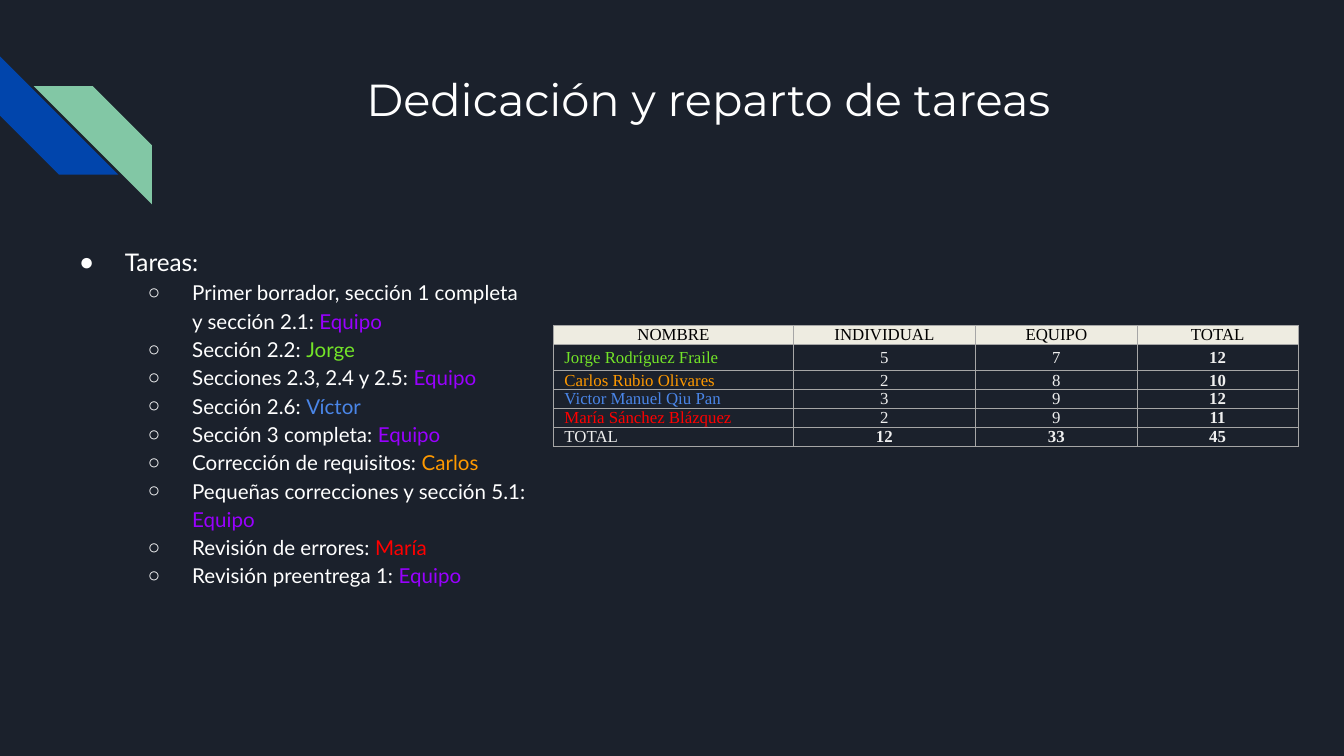
from lxml.etree import SubElement
from pptx import Presentation
from pptx.dml.color import RGBColor
from pptx.enum.shapes import MSO_SHAPE
from pptx.enum.text import MSO_ANCHOR, MSO_AUTO_SIZE, PP_ALIGN
from pptx.oxml.ns import qn
from pptx.util import Inches, Pt

COLORS = {
    "background": "1B212C", "blue": "0145AC", "mint": "82C7A5",
    "white": "FFFFFF", "black": "000000", "header": "EEECE1",
    "figures": "EFEFEF", "border": "A6A6A6", "Equipo": "9900FF",
    "Jorge": "73E428", "Carlos": "FF9900", "Víctor": "4A86E8",
    "María": "FF0000",
}

TASKS = [
    ("Primer borrador, sección 1 completa y sección 2.1: ", "Equipo"),
    ("Sección 2.2: ", "Jorge"),
    ("Secciones 2.3, 2.4 y 2.5: ", "Equipo"),
    ("Sección 2.6: ", "Víctor"),
    ("Sección 3 completa: ", "Equipo"),
    ("Corrección de requisitos: ", "Carlos"),
    ("Pequeñas correcciones y sección 5.1: ", "Equipo"),
    ("Revisión de errores: ", "María"),
    ("Revisión preentrega 1: ", "Equipo"),
]

HOURS = [
    ("NOMBRE", "INDIVIDUAL", "EQUIPO", "TOTAL"),
    ("Jorge Rodríguez Fraile", "5", "7", "12"),
    ("Carlos Rubio Olivares", "2", "8", "10"),
    ("Victor Manuel Qiu Pan", "3", "9", "12"),
    ("María Sánchez Blázquez", "2", "9", "11"),
    ("TOTAL", "12", "33", "45"),
]
NAME_COLORS = ["black", "Jorge", "Carlos", "Víctor", "María", "figures"]


def rgb(name):
    return RGBColor.from_string(COLORS[name])


class SlideBuilder:
    title_font = "Montserrat"
    body_font = "Lato"
    table_font = "Times New Roman"

    def __init__(self, slide):
        self.slide = slide
        slide.background.fill.solid()
        slide.background.fill.fore_color.rgb = rgb("background")

    def style(self, paragraph, font, size, color, bold=False):
        paragraph.font.name = font
        paragraph.font.size = Pt(size)
        paragraph.font.bold = bold
        paragraph.font.color.rgb = rgb(color)

    def place(self, placeholder, left, top, width, height):
        placeholder.left, placeholder.top = Inches(left), Inches(top)
        placeholder.width, placeholder.height = Inches(width), Inches(height)
        frame = placeholder.text_frame
        frame.margin_left = frame.margin_right = Inches(0.1)
        frame.margin_top = frame.margin_bottom = Inches(0.1)
        frame.vertical_anchor = MSO_ANCHOR.TOP
        frame.word_wrap = True
        frame.auto_size = MSO_AUTO_SIZE.NONE
        return frame

    def stripe(self, left, top, size, color, rotation=0, mirrored=False):
        stripe = self.slide.shapes.add_shape(
            MSO_SHAPE.DIAGONAL_STRIPE, Inches(left), Inches(top), Inches(size), Inches(size))
        stripe.adjustments[0] = 0.5
        stripe.rotation = rotation
        stripe.shadow.inherit = False
        stripe.fill.solid()
        stripe.fill.fore_color.rgb = rgb(color)
        stripe.line.fill.background()
        if mirrored:
            stripe._element.spPr.find(qn("a:xfrm")).set("flipH", "1")

    def title(self, text, *box):
        frame = self.place(self.slide.shapes.title, *box)
        frame.text = text
        heading = frame.paragraphs[0]
        heading.alignment = PP_ALIGN.CENTER
        self.style(heading, self.title_font, 24, "white")

    def bullet(self, paragraph, symbol, margin, hanging, size):
        paragraph.line_spacing = 1.15
        paragraph.space_before = paragraph.space_after = Pt(0)
        properties = paragraph._p.get_or_add_pPr()
        properties.set("marL", str(Inches(margin)))
        properties.set("indent", str(-Inches(hanging)))
        bullet_color = SubElement(properties, qn("a:buClr"))
        SubElement(bullet_color, qn("a:srgbClr"), val=COLORS["white"])
        SubElement(properties, qn("a:buChar"), char=symbol)
        self.style(paragraph, self.body_font, size, "white")

    def task_list(self, heading, tasks, *box):
        frame = self.place(self.slide.placeholders[1], *box)
        frame.text = heading
        self.bullet(frame.paragraphs[0], "●", 0.5, 0.34, 13)
        for task, owner in tasks:
            item = frame.add_paragraph()
            item.level = 1
            self.bullet(item, "○", 1, 0.33, 11)
            item.add_run().text = task
            assignee = item.add_run()
            assignee.text = owner
            assignee.font.color.rgb = rgb(owner)

    def border(self, cell):
        properties = cell._tc.get_or_add_tcPr()
        for side in ("lnL", "lnR", "lnT", "lnB"):
            line = SubElement(properties, qn(f"a:{side}"), w=str(Pt(0.5)))
            fill = SubElement(line, qn("a:solidFill"))
            SubElement(fill, qn("a:srgbClr"), val=COLORS["border"])

    def hours_table(self, rows, left, top, widths, heights):
        table = self.slide.shapes.add_table(
            len(rows), len(widths), Inches(left), Inches(top),
            Inches(sum(widths)), Inches(sum(heights))).table
        table.first_row = table.horz_banding = False
        for column, width in zip(table.columns, widths):
            column.width = Inches(width)
        for row, height in zip(table.rows, heights):
            row.height = Inches(height)
        last_row, last_column = len(rows) - 1, len(widths) - 1
        for r, values in enumerate(rows):
            for c, value in enumerate(values):
                is_header, is_name = r == 0, c == 0
                is_total = not is_header and not is_name and (r == last_row or c == last_column)
                cell = table.cell(r, c)
                cell.text = value
                cell.vertical_anchor = MSO_ANCHOR.MIDDLE
                cell.margin_left = cell.margin_right = Inches(0.08)
                cell.margin_top = cell.margin_bottom = 0
                self.border(cell)
                if is_header:
                    cell.fill.solid()
                    cell.fill.fore_color.rgb = rgb("header")
                else:
                    cell.fill.background()
                entry = cell.text_frame.paragraphs[0]
                entry.alignment = PP_ALIGN.LEFT if is_name and not is_header else PP_ALIGN.CENTER
                color = NAME_COLORS[r] if is_name or is_header else "figures"
                self.style(entry, self.table_font, 9, color, is_total)


def main():
    deck = Presentation()
    deck.slide_width = Inches(10)
    deck.slide_height = deck.slide_width * 9 // 16
    builder = SlideBuilder(deck.slides.add_slide(deck.slide_layouts[1]))
    builder.stripe(0, 0.42, 0.88, "blue", rotation=270)
    builder.stripe(0.25, 0.64, 0.88, "mint", mirrored=True)
    builder.title("Dedicación y reparto de tareas", 1.42, 0.43, 7.7, 1)
    builder.task_list("Tareas:", TASKS, 0.33, 1.71, 3.72, 3.18)
    builder.hours_table(HOURS, 4.12, 2.42, [1.78, 1.36, 1.2, 1.2], [0.14, 0.2] + [0.14] * 4)
    deck.save("out.pptx")


if __name__ == "__main__":
    main()
